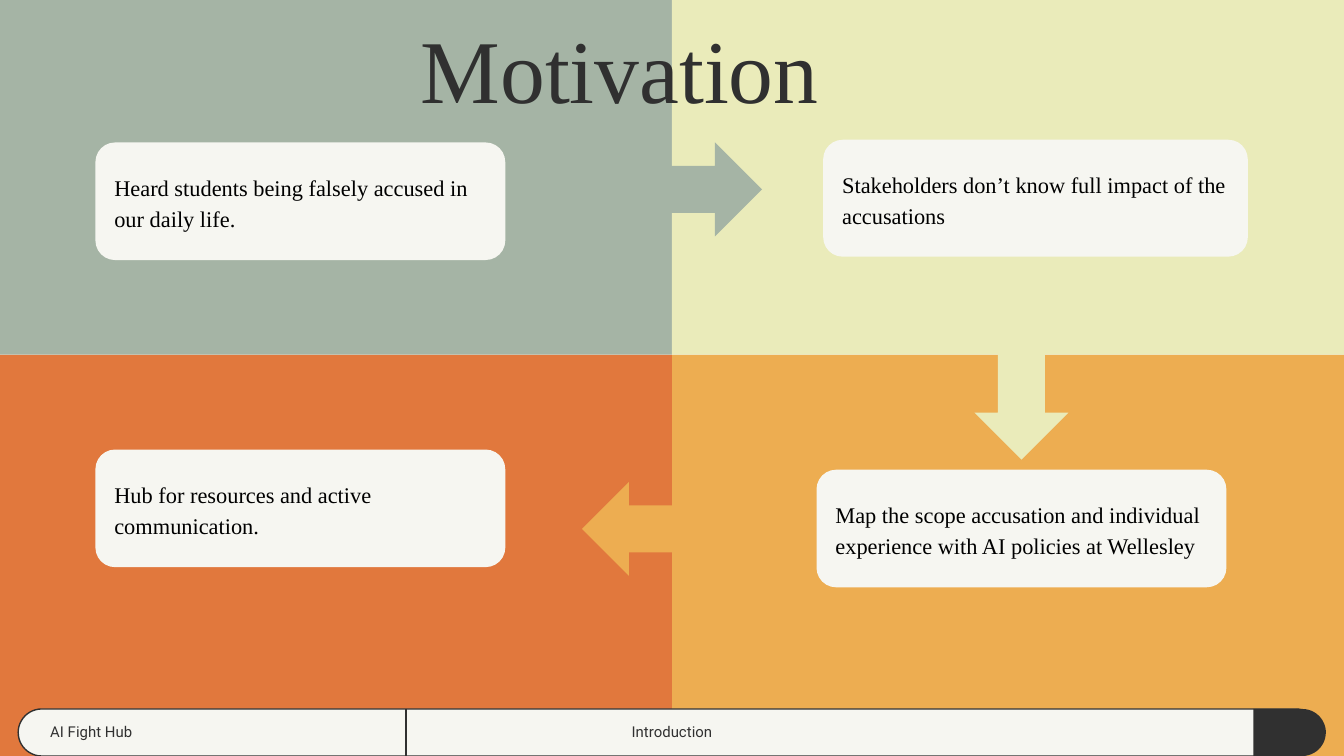
from lxml import etree
from pptx import Presentation
from pptx.dml.color import RGBColor
from pptx.enum.shapes import MSO_CONNECTOR, MSO_SHAPE
from pptx.enum.text import MSO_ANCHOR, MSO_AUTO_SIZE, PP_ALIGN
from pptx.oxml.ns import qn
from pptx.util import Emu, Pt

PX = 4572
WIDTH, HEIGHT = 2000, 1125
MIDDLE_X, MIDDLE_Y = 1000, 528
RECT = MSO_SHAPE.RECTANGLE
ROUNDED = MSO_SHAPE.ROUNDED_RECTANGLE
ROUNDED_TOP = MSO_SHAPE.ROUND_2_SAME_RECTANGLE
ARROW = MSO_SHAPE.RIGHT_ARROW
STRAIGHT = MSO_CONNECTOR.STRAIGHT
TOP, MIDDLE = MSO_ANCHOR.TOP, MSO_ANCHOR.MIDDLE
LEFT, CENTER = PP_ALIGN.LEFT, PP_ALIGN.CENTER
FIXED = MSO_AUTO_SIZE.NONE

PAPER, INK, BLACK = "F6F6F1", "303030", "000000"
SAGE, CREAM, RUST, AMBER = "A5B4A5", "EAEBBA", "E1783D", "EDAD51"
SERIF, SANS = "Times New Roman", "Roboto"

LOWER = HEIGHT - MIDDLE_Y
QUADRANTS = [
    ((0, 0, MIDDLE_X, MIDDLE_Y), SAGE, (142, 212, 610, 175),
     "Heard students being falsely accused in our daily life."),
    ((MIDDLE_X, 0, MIDDLE_X, MIDDLE_Y), CREAM, (225, 208, 632, 174),
     "Stakeholders don’t know full impact of the accusations"),
    ((MIDDLE_X, MIDDLE_Y, MIDDLE_X, LOWER), AMBER, (215, 171, 610, 175),
     "Map the scope accusation and individual experience with AI policies at Wellesley"),
    ((0, MIDDLE_Y, MIDDLE_X, LOWER), RUST, (142, 141, 610, 175),
     "Hub for resources and active communication."),
]
ARROWS = [((866, 212, 268, 140), SAGE, 0),
          ((1386, 480, 268, 140), CREAM, 90),
          ((866, 717, 268, 140), AMBER, 180)]


def px(*values):
    """Turn whole pixels into EMU lengths."""
    return [Emu(value * PX) for value in values]


def rgb(value):
    """Turn a hex string into a colour."""
    return RGBColor.from_string(value)


def add_block(page, kind, box, fill, line=None, rotation=0, adjust=()):
    """Add a flat preset shape."""
    block = page.shapes.add_shape(kind, *px(*box))
    block.shadow.inherit = False
    block.rotation = rotation
    block.fill.solid()
    block.fill.fore_color.rgb = rgb(fill)
    if line:
        block.line.color.rgb = rgb(line)
        block.line.width = Pt(0.75)
    else:
        block.line.fill.background()
    for index, value in enumerate(adjust):
        block.adjustments[index] = value
    return block


def write(shape, text, name, size, color, align=LEFT, anchor=TOP, spacing=1.0):
    """Fill a shape with one formatted paragraph."""
    frame = shape.text_frame
    inset = Emu(20 * PX)
    settings = {"word_wrap": True, "auto_size": FIXED, "vertical_anchor": anchor,
                "margin_left": inset, "margin_right": inset,
                "margin_top": inset, "margin_bottom": inset}
    for key, value in settings.items():
        setattr(frame, key, value)
    frame.text = text
    para = frame.paragraphs[0]
    para.alignment = align
    para.line_spacing = spacing
    para.space_before = Pt(0)
    font = para.runs[0].font
    for key, value in {"name": name, "size": Pt(size), "bold": False}.items():
        setattr(font, key, value)
    font.color.rgb = rgb(color)


def add_title(page, box, text):
    """Place the title placeholder in its box."""
    title = page.shapes.title
    for key, value in zip(("left", "top", "width", "height"), px(*box)):
        setattr(title, key, value)
    write(title, text, SERIF, 48, INK)


def add_card(page, panel, card, text):
    """Add a rounded text card at an offset within its panel."""
    left, top, width, height = card
    box = (panel[0] + left, panel[1] + top, width, height)
    block = add_block(page, ROUNDED, box, PAPER, adjust=[0.167])
    write(block, text, SERIF, 12, BLACK, anchor=MIDDLE, spacing=1.15)


def add_footer(page, box):
    """Add the footer pill with its dark cap, divider and labels."""
    left, top, width, height = box
    shift = (width - height) // 2
    bar = (left + shift, top - shift, height, width)
    add_block(page, ROUNDED_TOP, bar, PAPER, INK, 90, [0.5, 0.5])
    divider = page.shapes.add_connector(
        STRAIGHT, *px(left + 577, top, left + 577, top + height))
    divider.line.color.rgb = rgb(INK)
    divider.line.width = Pt(0.75)
    etree.SubElement(divider._element.spPr, qn("a:effectLst"))
    cap = (left + 1857, top - 19, height, 108)
    add_block(page, ROUNDED_TOP, cap, INK, rotation=90, adjust=[0.5, 0])
    labels = [("AI Fight Hub", 28, 482, LEFT), ("Introduction", 748, 450, CENTER)]
    for text, offset, label_width, align in labels:
        label = page.shapes.add_textbox(*px(left + offset, top, label_width, 68))
        write(label, text, SANS, 8, INK, align)


def build():
    """Build the slide and save the deck."""
    deck = Presentation()
    deck.slide_width, deck.slide_height = px(WIDTH, HEIGHT)
    page = deck.slides.add_slide(deck.slide_layouts[5])
    page.background.fill.solid()
    page.background.fill.fore_color.rgb = rgb(PAPER)
    for panel, fill, _, _ in QUADRANTS:
        add_block(page, RECT, panel, fill)
    add_footer(page, (27, 1055, 1936, 70))
    title = page.shapes.title._element
    title.getparent().append(title)
    add_title(page, (606, 0, 1012, 70), "Motivation")
    for box, fill, rotation in ARROWS:
        add_block(page, ARROW, box, fill, rotation=rotation, adjust=[0.5, 0.5])
    for panel, _, card, text in QUADRANTS:
        add_card(page, panel, card, text)
    deck.save("out.pptx")


if __name__ == "__main__":
    build()
